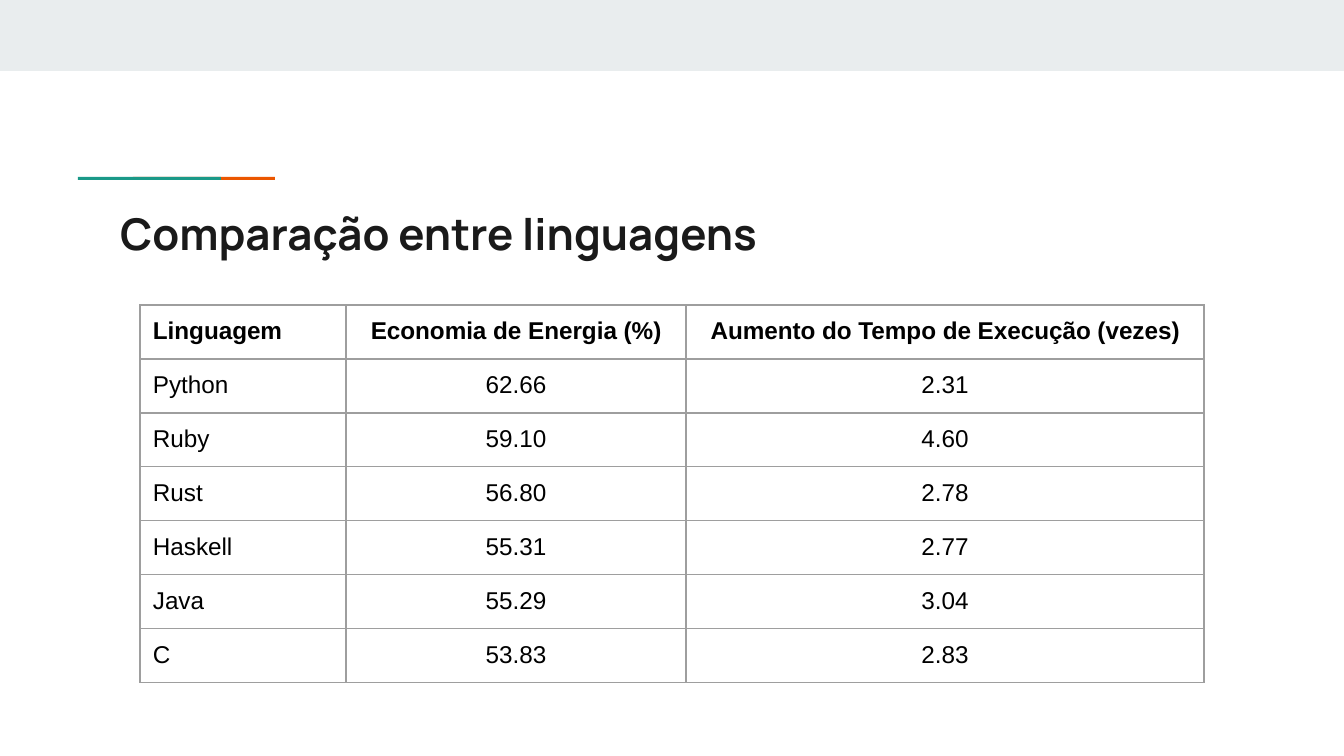
from lxml.etree import SubElement
from pptx import Presentation
from pptx.dml.color import RGBColor
from pptx.enum.shapes import MSO_SHAPE
from pptx.enum.text import MSO_ANCHOR, PP_ALIGN
from pptx.oxml.ns import qn
from pptx.util import Pt

PX = 914400 / 134.4  # EMU per px
BAND = RGBColor(0xE9, 0xED, 0xEE)
ORANGE = RGBColor(0xEB, 0x56, 0x00)
TEAL = RGBColor(0x1A, 0x99, 0x88)
INK = RGBColor(0x1A, 0x1A, 0x1A)
BLACK = RGBColor(0, 0, 0)
BORDER = RGBColor(0x9E, 0x9E, 0x9E)


def px(n):
    return round(n * PX)


def add_border(cell):
    tcPr = cell._tc.get_or_add_tcPr()
    for i, side in enumerate(("a:lnL", "a:lnR", "a:lnT", "a:lnB")):
        ln = SubElement(tcPr, qn(side), w=str(Pt(0.75)))
        fill = SubElement(ln, qn("a:solidFill"))
        SubElement(fill, qn("a:srgbClr"), val=str(BORDER))
        tcPr.insert(i, ln)  # borders come before the cell fill


prs = Presentation()
prs.slide_width, prs.slide_height = px(1344), px(756)
s = prs.slides.add_slide(prs.slide_layouts[5])

# Top band and two-colour accent line
for x, y, w, h, color in (
    (0, 0, 1344, 71, BAND),
    (133, 177, 142, 3, ORANGE),
    (78, 177, 143, 3, TEAL),
):
    sp = s.shapes.add_shape(MSO_SHAPE.RECTANGLE, px(x), px(y), px(w), px(h))
    sp.shadow.inherit = False
    sp.fill.solid()
    sp.fill.fore_color.rgb = color
    sp.line.fill.background()

# Title
title = s.shapes.title
title.left, title.top, title.width, title.height = px(107), px(194), px(1130), px(79)
tf = title.text_frame
tf.word_wrap = True
tf.vertical_anchor = MSO_ANCHOR.MIDDLE
tf.margin_left = tf.margin_right = tf.margin_top = tf.margin_bottom = px(13)
p = tf.paragraphs[0]
p.alignment = PP_ALIGN.LEFT
r = p.add_run()
r.text = "Comparação entre linguagens"
r.font.name, r.font.size, r.font.bold = "Manrope", Pt(23.4), True
r.font.color.rgb = INK

# Language table
rows = (
    ("Linguagem", "Economia de Energia (%)", "Aumento do Tempo de Execução (vezes)"),
    ("Python", "62.66", "2.31"),
    ("Ruby", "59.10", "4.60"),
    ("Rust", "56.80", "2.78"),
    ("Haskell", "55.31", "2.77"),
    ("Java", "55.29", "3.04"),
    ("C", "53.83", "2.83"),
)
col_widths = (206, 340, 518)
row_height = 54
table = s.shapes.add_table(
    len(rows), len(col_widths), px(140), px(305),
    px(sum(col_widths)), px(row_height * len(rows)),
).table
table.first_row = table.horz_banding = False
for column, width in zip(table.columns, col_widths):
    column.width = px(width)
for i, row in enumerate(rows):
    table.rows[i].height = px(row_height)
    for j, text in enumerate(row):
        cell = table.cell(i, j)
        cell.fill.background()
        cell.margin_left = cell.margin_right = px(13)
        cell.margin_top = cell.margin_bottom = px(13)
        add_border(cell)
        p = cell.text_frame.paragraphs[0]
        p.alignment = PP_ALIGN.CENTER if j else PP_ALIGN.LEFT
        r = p.add_run()
        r.text = text
        r.font.name, r.font.size, r.font.bold = "Arial", Pt(13), i == 0
        r.font.color.rgb = BLACK

prs.save("out.pptx")
